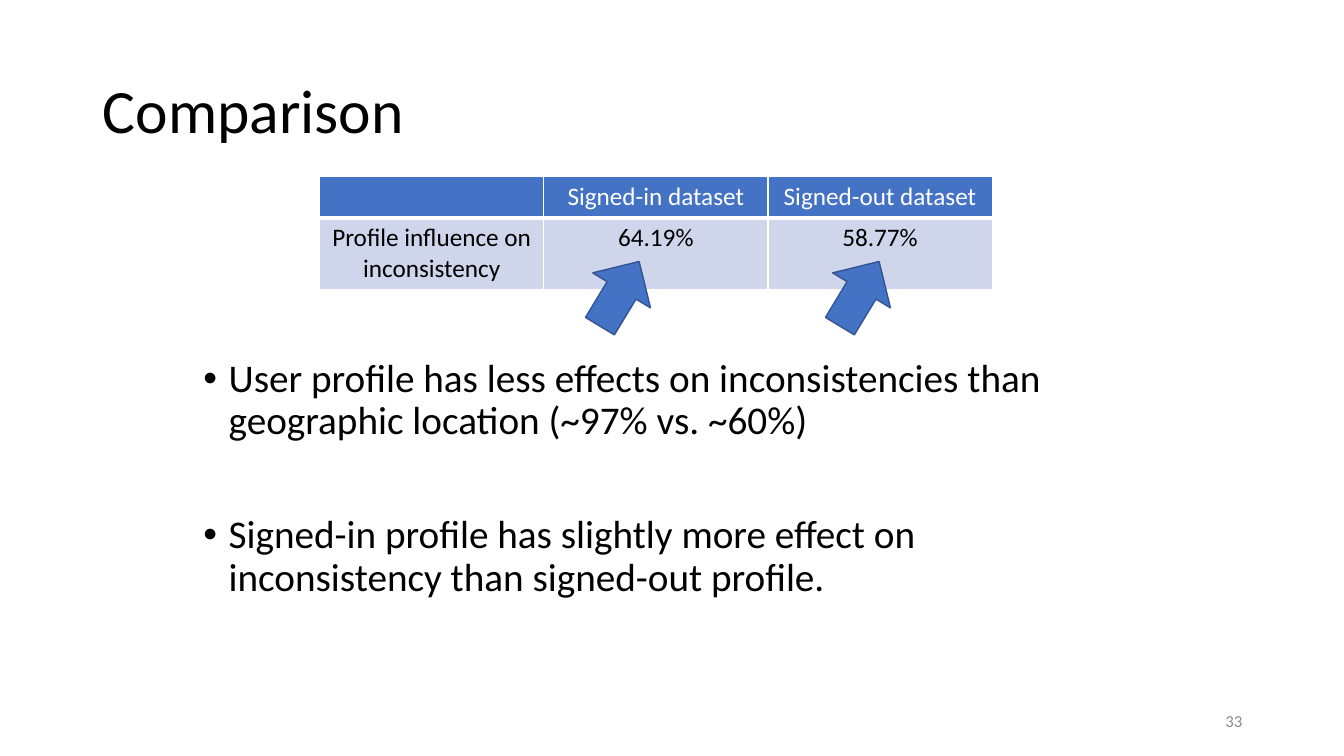
from lxml.etree import SubElement
from pptx import Presentation
from pptx.dml.color import RGBColor
from pptx.enum.shapes import MSO_SHAPE
from pptx.enum.text import MSO_ANCHOR, PP_ALIGN
from pptx.oxml import parse_xml
from pptx.oxml.ns import nsdecls, qn
from pptx.util import Inches, Pt

# Content
TITLE = "Comparison"
TABLE_ROWS = [
    ("", "Signed-in dataset", "Signed-out dataset"),
    ("Profile influence on inconsistency", "64.19%", "58.77%"),
]
BULLETS = [
    "User profile has less effects on inconsistencies than geographic location (~97% vs. ~60%)",
    "Signed-in profile has slightly more effect on inconsistency than signed-out profile.",
]
PAGE_NUMBER = "33"

# Layout, in inches
TABLE_LEFT, TABLE_TOP = 3.17, 1.75
COLUMN_WIDTH = 6.67 / 3
ROW_HEIGHTS = (0.41, 0.7)
ARROW_LEFTS = (5.77, 8.15)
ARROW_TURN = 301.2
BULLET_INDENT = 0.25


class Theme:
    font = "Calibri"
    black, white, grey = "000000", "FFFFFF", "8C8C8C"
    blue, blue_edge, pale_blue = "4472C4", "325491", "CFD5EA"
    title_size, body_size, table_size, number_size = 44, 28, 18, 12


def color(value):
    return RGBColor.from_string(value)


def write(para, text, size, text_color, **formats):
    for name, value in formats.items():
        setattr(para, name, value)
    if text:
        para.add_run().text = text
    font = para.font
    for name, value in {"name": Theme.font, "size": Pt(size), "bold": False}.items():
        setattr(font, name, value)
    font.color.rgb = color(text_color)


def add_bullet(para):
    properties = para._p.get_or_add_pPr()
    properties.set("marL", str(Inches(BULLET_INDENT)))
    properties.set("indent", str(-Inches(BULLET_INDENT)))
    SubElement(properties, qn("a:buFont")).set("typeface", "Arial")
    SubElement(properties, qn("a:buChar")).set("char", "•")


def add_borders(cell, bottom):
    properties = cell._tc.get_or_add_tcPr()
    widths = {"lnL": 1, "lnR": 1, "lnT": 1, "lnB": bottom}
    for position, (side, width) in enumerate(widths.items()):
        properties.insert(position, parse_xml(
            f'<a:{side} {nsdecls("a")} w="{Pt(width)}"><a:solidFill>'
            f'<a:srgbClr val="{Theme.white}"/></a:solidFill></a:{side}>'))


def add_text_box(page, left, top, width, height, anchor):
    box = page.shapes.add_textbox(*map(Inches, (left, top, width, height)))
    box.text_frame.word_wrap = True
    box.text_frame.vertical_anchor = anchor
    return box.text_frame


def add_title(page):
    title = page.shapes.title
    place = {"left": 0.92, "top": 0.4, "width": 11.5, "height": 1.45}
    for name, value in place.items():
        setattr(title, name, Inches(value))
    title.text_frame.vertical_anchor = MSO_ANCHOR.MIDDLE
    write(title.text_frame.paragraphs[0], TITLE, Theme.title_size, Theme.black,
          alignment=PP_ALIGN.LEFT, line_spacing=0.9)


def add_comparison_table(page):
    columns = len(TABLE_ROWS[0])
    table = page.shapes.add_table(
        len(TABLE_ROWS), columns, Inches(TABLE_LEFT), Inches(TABLE_TOP),
        Inches(COLUMN_WIDTH * columns), Inches(sum(ROW_HEIGHTS))).table
    for column in table.columns:
        column.width = Inches(COLUMN_WIDTH)
    for row, texts in enumerate(TABLE_ROWS):
        table.rows[row].height = Inches(ROW_HEIGHTS[row])
        header = row == 0
        for column, text in enumerate(texts):
            cell = table.cell(row, column)
            cell.fill.solid()
            cell.fill.fore_color.rgb = color(Theme.blue if header else Theme.pale_blue)
            add_borders(cell, bottom=3 if header else 1)
            write(cell.text_frame.paragraphs[0], text, Theme.table_size,
                  Theme.white if header else Theme.black, alignment=PP_ALIGN.CENTER)


def add_bullets(page):
    frame = add_text_box(page, 1.92, 3.51, 9, 3.53, MSO_ANCHOR.TOP)
    for index, text in enumerate(BULLETS):
        para = frame.add_paragraph() if index else frame.paragraphs[0]
        para.line_spacing = 0.9
        para.space_before = Pt(51 if index else 0)
        add_bullet(para)
        write(para, text, Theme.body_size, Theme.black)


def add_arrow(page, left):
    arrow = page.shapes.add_shape(
        MSO_SHAPE.RIGHT_ARROW, *map(Inches, (left, 2.58, 0.75, 0.67)))
    arrow.rotation = ARROW_TURN
    arrow.shadow.inherit = False
    arrow.fill.solid()
    arrow.fill.fore_color.rgb = color(Theme.blue)
    arrow.line.color.rgb = color(Theme.blue_edge)
    arrow.line.width = Pt(1)


def main():
    deck = Presentation()
    deck.slide_width, deck.slide_height = Inches(13.33), Inches(7.5)
    page = deck.slides.add_slide(deck.slide_layouts[5])

    # Title, table and bullets
    add_title(page)
    add_comparison_table(page)
    add_bullets(page)

    # Page number
    number = add_text_box(page, 9.42, 6.95, 3, 0.4, MSO_ANCHOR.MIDDLE)
    write(number.paragraphs[0], PAGE_NUMBER, Theme.number_size, Theme.grey,
          alignment=PP_ALIGN.RIGHT)

    # Arrows pointing at the two percentages
    for left in ARROW_LEFTS:
        add_arrow(page, left)

    deck.save("out.pptx")


if __name__ == "__main__":
    main()
